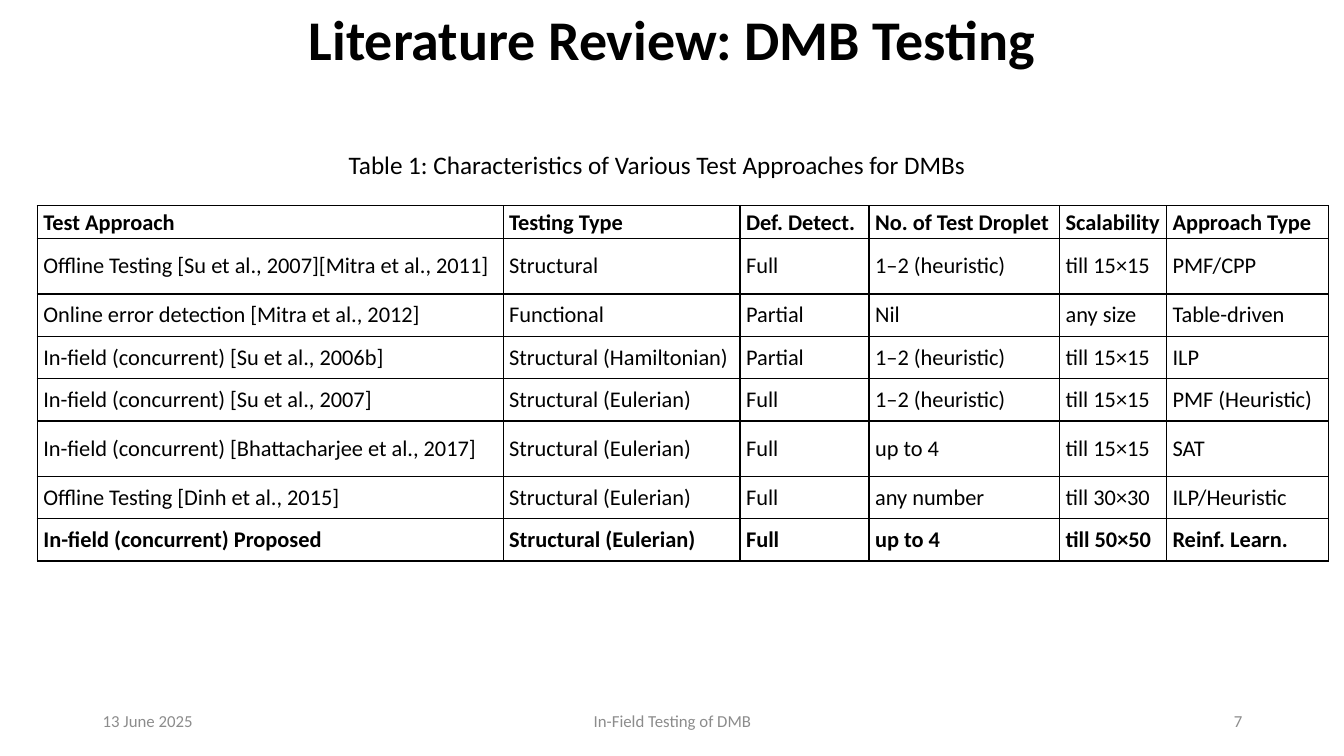
import pptx
import pptx.dml.color
import pptx.enum.text
import pptx.oxml
import pptx.oxml.ns
import pptx.util
from pptx.util import Inches

FONT = "Calibri"
BLACK = "000000"
GREY = "8C8C8C"
ALIGN = pptx.enum.text.PP_ALIGN
MIDDLE = pptx.enum.text.MSO_ANCHOR.MIDDLE

COLUMN_WIDTHS = [4.62, 2.35, 1.28, 1.89, 1.06, 1.61]
ROW_HEIGHTS = [0.31, 0.55, 0.42, 0.42, 0.42, 0.55, 0.42, 0.42]
APPROACHES = [
    ["Test Approach", "Testing Type", "Def. Detect.", "No. of Test Droplet",
     "Scalability", "Approach Type"],
    ["Offline Testing [Su et al., 2007][Mitra et al., 2011]", "Structural",
     "Full", "1–2 (heuristic)", "till 15×15", "PMF/CPP"],
    ["Online error detection [Mitra et al., 2012]", "Functional",
     "Partial", "Nil", "any size", "Table-driven"],
    ["In-field (concurrent) [Su et al., 2006b]", "Structural (Hamiltonian)",
     "Partial", "1–2 (heuristic)", "till 15×15", "ILP"],
    ["In-field (concurrent) [Su et al., 2007]", "Structural (Eulerian)",
     "Full", "1–2 (heuristic)", "till 15×15", "PMF (Heuristic)"],
    ["In-field (concurrent) [Bhattacharjee et al., 2017]", "Structural (Eulerian)",
     "Full", "up to 4", "till 15×15", "SAT"],
    ["Offline Testing [Dinh et al., 2015]", "Structural (Eulerian)",
     "Full", "any number", "till 30×30", "ILP/Heuristic"],
    ["In-field (concurrent) Proposed", "Structural (Eulerian)",
     "Full", "up to 4", "till 50×50", "Reinf. Learn."],
]


def color(hex_value):
    return pptx.dml.color.RGBColor.from_string(hex_value)


def set_text(frame, text, size, hex_value=BLACK, bold=False, align=ALIGN.LEFT):
    frame.text = text
    paragraph = frame.paragraphs[0]
    paragraph.alignment = align
    paragraph.font.name = FONT
    paragraph.font.size = pptx.util.Pt(size)
    paragraph.font.bold = bold
    paragraph.font.color.rgb = color(hex_value)
    return paragraph


def add_title(slide, text):
    title = slide.shapes.title
    title.left, title.top = Inches(0), Inches(0)
    title.width, title.height = Inches(13.33), Inches(0.84)
    title.text_frame.vertical_anchor = MIDDLE
    paragraph = set_text(title.text_frame, text, 40, bold=True, align=ALIGN.CENTER)
    paragraph.line_spacing = 0.9


def add_label(slide, text, left, top, width, size, hex_value=BLACK,
              align=ALIGN.LEFT, wrap=True):
    box = slide.shapes.add_textbox(Inches(left), Inches(top), Inches(width), Inches(0.4))
    box.text_frame.word_wrap = wrap
    set_text(box.text_frame, text, size, hex_value, align=align)
    return box


def add_footer(slide, text, left, width, align):
    box = add_label(slide, text, left, 6.95, width, 12, GREY, align)
    box.text_frame.vertical_anchor = MIDDLE


def set_borders(cell):
    properties = cell._tc.get_or_add_tcPr()
    for side in ("lnL", "lnR", "lnT", "lnB"):
        properties.append(pptx.oxml.parse_xml(
            f'<a:{side} {pptx.oxml.ns.nsdecls("a")} w="12700"><a:solidFill>'
            f'<a:srgbClr val="{BLACK}"/></a:solidFill></a:{side}>'))


def add_approach_table(slide):
    table = slide.shapes.add_table(
        len(ROW_HEIGHTS), len(COLUMN_WIDTHS), Inches(0.37), Inches(2.04),
        Inches(sum(COLUMN_WIDTHS)), Inches(sum(ROW_HEIGHTS))).table
    table.first_row = table.horz_banding = False
    for column, width in zip(table.columns, COLUMN_WIDTHS):
        column.width = Inches(width)
    bold_rows = (0, len(APPROACHES) - 1)
    for row_index, (row, height) in enumerate(zip(table.rows, ROW_HEIGHTS)):
        row.height = Inches(height)
        for cell, text in zip(row.cells, APPROACHES[row_index]):
            set_borders(cell)
            cell.fill.background()
            cell.vertical_anchor = MIDDLE
            cell.margin_left = cell.margin_right = Inches(0.06)
            cell.margin_top = cell.margin_bottom = Inches(0.03)
            set_text(cell.text_frame, text, 16, bold=row_index in bold_rows)


def main():
    presentation = pptx.Presentation()
    presentation.slide_width = Inches(13.33)
    presentation.slide_height = Inches(7.5)
    slide = presentation.slides.add_slide(presentation.slide_layouts[5])

    # Title
    add_title(slide, "Literature Review: DMB Testing")

    # Footer
    add_footer(slide, "13 June 2025", 0.92, 3, ALIGN.LEFT)
    add_footer(slide, "In-Field Testing of DMB", 4.42, 4.5, ALIGN.CENTER)
    add_footer(slide, "7", 9.42, 3, ALIGN.RIGHT)

    # Table and its caption
    add_approach_table(slide)
    caption = add_label(
        slide, "Table 1: Characteristics of Various Test Approaches for DMBs",
        3.36, 1.43, 6.33, 18, wrap=False)
    caption.text_frame.auto_size = pptx.enum.text.MSO_AUTO_SIZE.SHAPE_TO_FIT_TEXT

    presentation.save("out.pptx")


if __name__ == "__main__":
    main()
